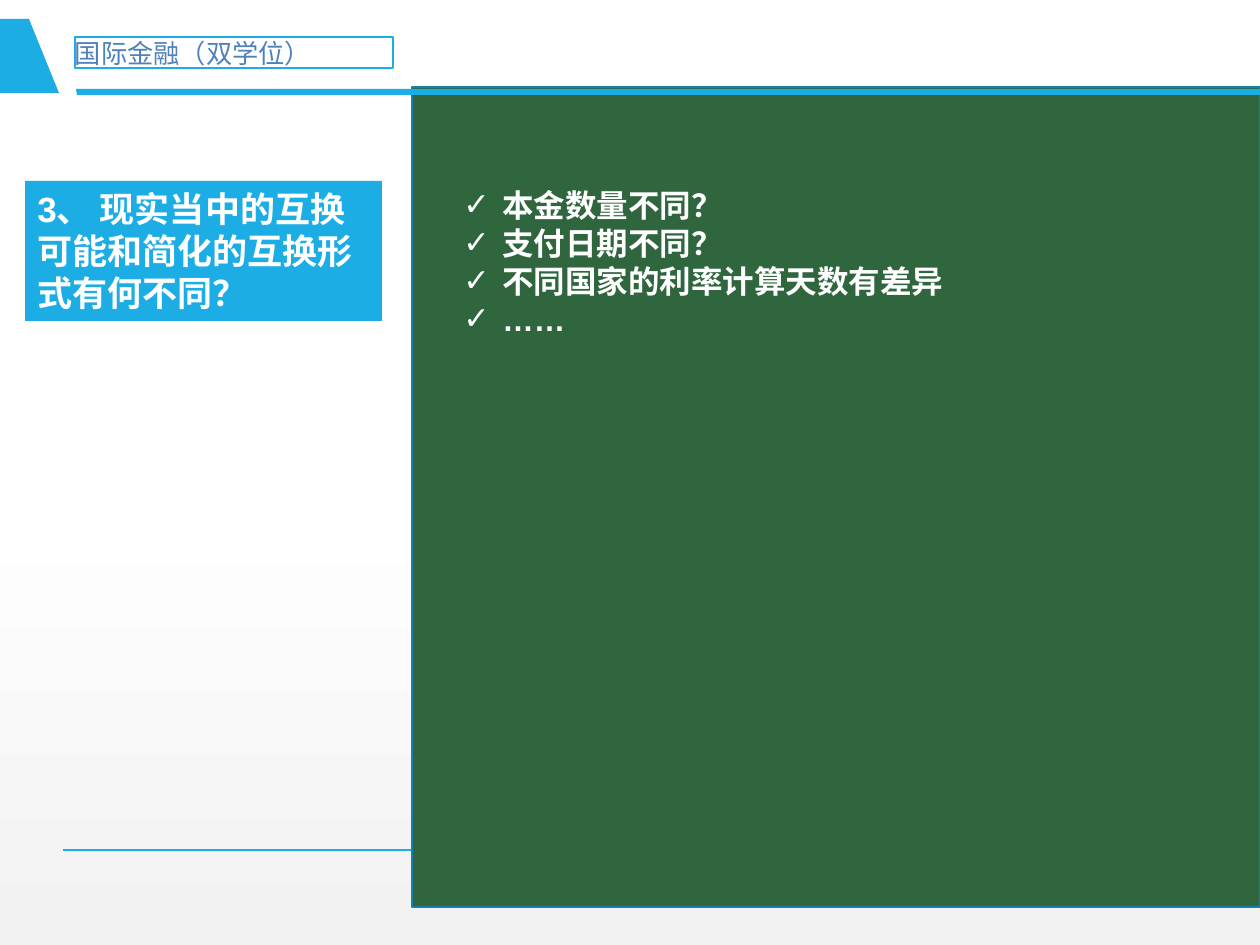
from dataclasses import dataclass

from lxml.etree import SubElement
from pptx import Presentation
from pptx.dml.color import RGBColor
from pptx.enum.shapes import MSO_CONNECTOR, MSO_SHAPE
from pptx.enum.text import MSO_ANCHOR, PP_ALIGN
from pptx.oxml.ns import qn
from pptx.util import Pt

PX = 7257  # EMU per px, 126 px to the inch


@dataclass(frozen=True)
class Theme:
    blue: RGBColor = RGBColor.from_string("1CADE4")
    dark_blue: RGBColor = RGBColor.from_string("1580A9")
    green: RGBColor = RGBColor.from_string("2F663E")
    header: RGBColor = RGBColor.from_string("4F81BD")
    white: RGBColor = RGBColor.from_string("FFFFFF")
    grey: RGBColor = RGBColor.from_string("F2F2F2")
    font: str = "Arial"
    header_size: int = 15
    question_size: int = 20
    answer_size: int = 18


theme = Theme()


def add_box(left, top, width, height, fill=None, line=None, line_width=1):
    shape = slide.shapes.add_shape(
        MSO_SHAPE.RECTANGLE, left * PX, top * PX, width * PX, height * PX)
    shape.shadow.inherit = False
    if fill is None:
        shape.fill.background()
    else:
        shape.fill.solid()
        shape.fill.fore_color.rgb = fill
    if line is None:
        shape.line.fill.background()
    else:
        shape.line.color.rgb = line
        shape.line.width = Pt(line_width)
    shape.text_frame.word_wrap = True
    shape.text_frame.vertical_anchor = MSO_ANCHOR.TOP
    return shape


def add_text(paragraph, text, size, color, bold=False):
    paragraph.alignment = PP_ALIGN.LEFT
    run = paragraph.add_run()
    run.text = text
    run.font.name = theme.font
    run.font.size = Pt(size)
    run.font.bold = bold
    run.font.color.rgb = color


presentation = Presentation()
presentation.slide_width = 1260 * PX
presentation.slide_height = 945 * PX
slide = presentation.slides.add_slide(presentation.slide_layouts[6])

# Background: white fading to grey in the lower half
background = slide.background.fill
background.gradient()
background.gradient_angle = 270
for stop, position, color in zip(
        background.gradient_stops, (0.53, 1), (theme.white, theme.grey)):
    stop.position = position
    stop.color.rgb = color

# Footer rule
rule = slide.shapes.add_connector(
    MSO_CONNECTOR.STRAIGHT, 63 * PX, 850 * PX, 1197 * PX, 850 * PX)
rule.line.color.rgb = theme.blue
rule.line.width = Pt(1)
SubElement(rule._element.spPr, qn("a:effectLst"))

# Green answer panel
add_box(412, 87, 848, 820, theme.green, theme.dark_blue)

# Header bar and corner wedge
bar = [(76, 89), (1260, 89), (1260, 95), (77, 95)]
wedge = [(29, 19), (59, 93), (0, 93), (0, 19)]
for start, *corners in (bar, wedge):
    builder = slide.shapes.build_freeform(*start, scale=PX)
    builder.add_line_segments(corners, close=True)
    shape = builder.convert_to_shape()
    shape.shadow.inherit = False
    shape.fill.solid()
    shape.fill.fore_color.rgb = theme.blue
    shape.line.fill.background()

# Course name
course = add_box(75, 37, 318, 31, line=theme.blue, line_width=0.75)
frame = course.text_frame
frame.margin_left = frame.margin_top = frame.margin_right = frame.margin_bottom = 0
add_text(frame.paragraphs[0], "国际金融（双学位）", theme.header_size, theme.header)

# Question
question = add_box(25, 181, 357, 140, theme.blue)
add_text(question.text_frame.paragraphs[0],
         "3、 现实当中的互换可能和简化的互换形式有何不同？",
         theme.question_size, theme.white, bold=True)

# Ticked answers
answers = ["本金数量不同？", "支付日期不同？", "不同国家的利率计算天数有差异", "……"]
text_box = slide.shapes.add_textbox(451 * PX, 180 * PX, 784 * PX, 164 * PX)
frame = text_box.text_frame
frame.word_wrap = True
for index, answer in enumerate(answers):
    paragraph = frame.add_paragraph() if index else frame.paragraphs[0]
    properties = paragraph._p.get_or_add_pPr()
    properties.set("marL", str(39 * PX))
    properties.set("indent", str(-39 * PX))
    SubElement(properties, qn("a:buFont"), typeface=theme.font)
    SubElement(properties, qn("a:buChar"), char="✓")
    add_text(paragraph, answer, theme.answer_size, theme.white, bold=True)

presentation.save("out.pptx")
